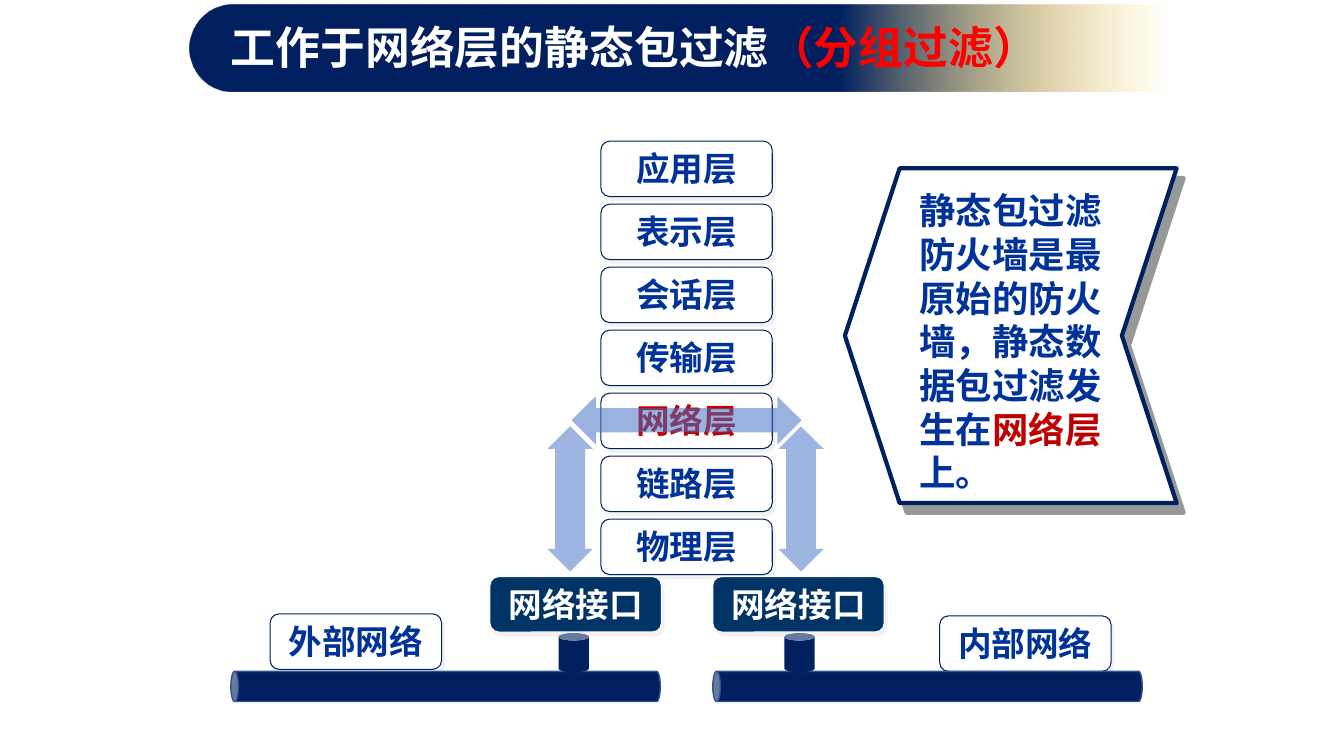
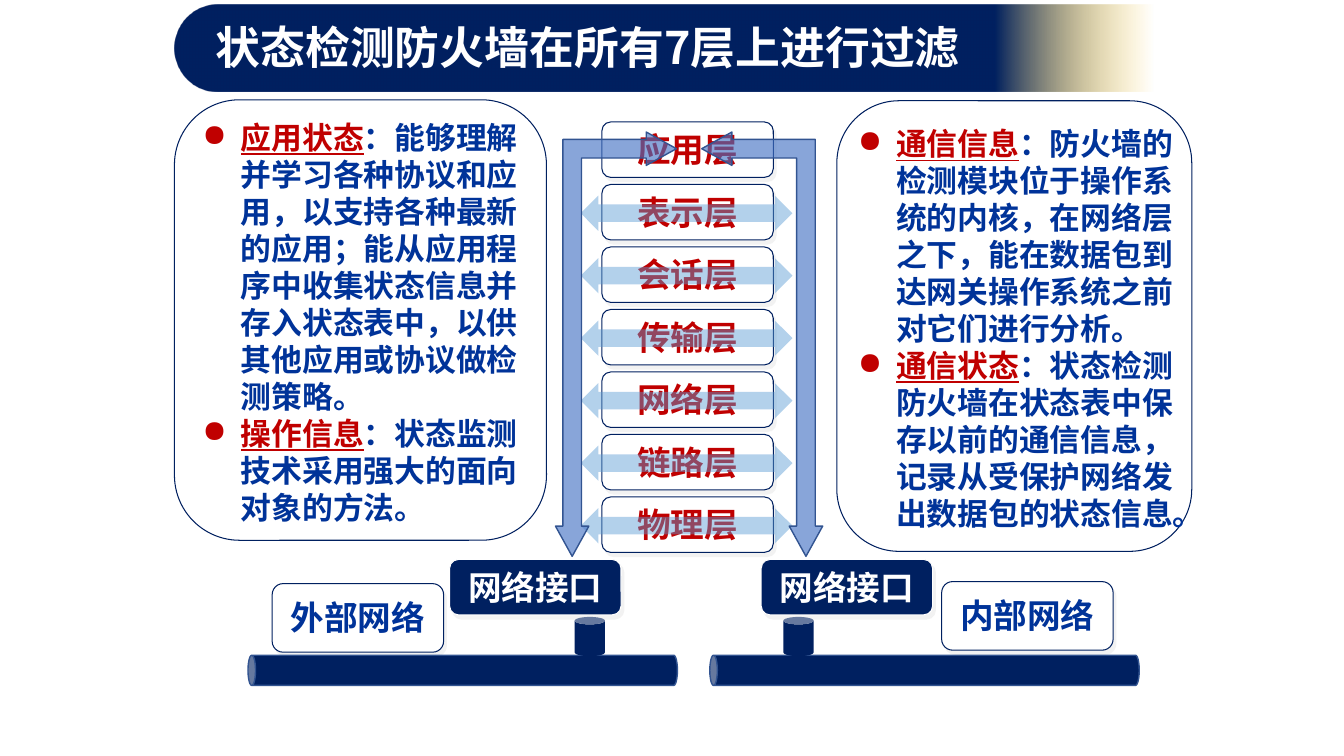
import pptx
import pptx.dml.color
import pptx.enum.shapes
import pptx.enum.text
import pptx.oxml
import pptx.oxml.ns
import pptx.util

Inches = pptx.util.Inches
Pt = pptx.util.Pt
Kind = pptx.enum.shapes.MSO_SHAPE
qn = pptx.oxml.ns.qn

COLORS = {
    "navy": "002060", "teal": "003366", "blue": "003399", "red": "C00000",
    "alert": "FF0000", "gold": "FFC000", "white": "FFFFFF", "edge": "325491",
    "arrow": "4472C4", "sky": "5B9BD5", "haze": "E7E6E6", "shade": "333333",
}
TITLE_FORMAT = {"name": "Noto Sans CJK SC", "size": Pt(32), "bold": True}
BODY_FORMAT = {"name": "Times New Roman", "bold": True}
LABEL_FRAME = {
    "word_wrap": False, "vertical_anchor": pptx.enum.text.MSO_ANCHOR.MIDDLE,
    "margin_left": Inches(0.1), "margin_right": Inches(0.1),
    "margin_top": Inches(0.04), "margin_bottom": Inches(0.05),
}
TEXT_FRAME = {"word_wrap": True, "auto_size": pptx.enum.text.MSO_AUTO_SIZE.SHAPE_TO_FIT_TEXT}
LAYERS = ["应用层", "表示层", "会话层", "传输层", "网络层", "链路层", "物理层"]
LABEL_WIDTH, LABEL_HEIGHT = 1.7, 0.55
PIPE_LENGTH, PIPE_WIDTH, POST_HEIGHT = 4.26, 0.3, 0.39


def rgb(name):
    return pptx.dml.color.RGBColor.from_string(COLORS[name])


def set_format(target, values):
    for name, value in values.items():
        setattr(target, name, value)


def add_xml(parent, tag, **attributes):
    child = parent.makeelement(qn(tag), attributes)
    parent.append(child)
    return child


def set_alpha(color_parent, percent):
    color = next(color_parent.iter(qn("a:srgbClr")))
    add_xml(color, "a:alpha", val=str(percent * 1000))


class Deck:
    """Hold the shared style and the current slide."""

    def __init__(self):
        self.deck = pptx.Presentation()
        self.deck.slide_width, self.deck.slide_height = Inches(13.33), Inches(7.5)

    def new_page(self):
        self.page = self.deck.slides.add_slide(self.deck.slide_layouts[6])

    def shape(self, kind, area, fill, line=None, weight=0.75, adjust=(), alpha=None, flips=""):
        shape = self.page.shapes.add_shape(kind, *map(Inches, area))
        shape.shadow.inherit = False
        shape.fill.solid()
        shape.fill.fore_color.rgb = rgb(fill)
        properties = shape._element.spPr
        if alpha is not None:
            set_alpha(properties, alpha)
        if line:
            shape.line.color.rgb = rgb(line)
            shape.line.width = Pt(weight)
        else:
            shape.line.fill.background()
        for index, value in enumerate(adjust):
            shape.adjustments[index] = value
        for axis in flips:
            properties.find(qn("a:xfrm")).set("flip" + axis, "1")
        return shape

    def shadow(self, shape, color, distance, angle):
        effects = shape._element.spPr.find(qn("a:effectLst"))
        outer = add_xml(effects, "a:outerShdw", dist=str(Pt(distance)),
                        dir=str(angle * 60000), algn="ctr", rotWithShape="0")
        add_xml(outer, "a:srgbClr", val=COLORS[color])
        set_alpha(outer, 50)

    def add_spans(self, para, spans, form):
        for text, color, *underline in spans:
            span = para.add_run()
            span.text = text
            set_format(span.font, form)
            span.font.color.rgb = rgb(color)
            if underline:
                span.font.underline = True

    def text(self, area, paragraphs, form, bullets=False):
        box = self.page.shapes.add_textbox(*map(Inches, area))
        frame = box.text_frame
        set_format(frame, TEXT_FRAME)
        for index, spans in enumerate(paragraphs):
            para = frame.paragraphs[0] if index == 0 else frame.add_paragraph()
            if bullets:
                settings = para._p.get_or_add_pPr()
                settings.set("marL", str(Inches(0.38)))
                settings.set("indent", str(-Inches(0.38)))
                add_xml(settings, "a:buChar", char="●")
            self.add_spans(para, spans, form)

    def title(self, left, width, solid_until, spans):
        band = self.shape(Kind.ROUNDED_RECTANGLE, (left, 0.05, 10.55, 0.86), "navy", adjust=[0.5])
        band.fill.gradient()
        band.fill.gradient_angle = 0
        stops = band.fill.gradient_stops
        for stop, position, color in zip(stops, (solid_until, 0.92), ("navy", "gold")):
            stop.position = position
            stop.color.rgb = rgb(color)
        set_alpha(band._element.spPr.findall(".//" + qn("a:gs"))[-1], 0)
        self.text((left + 0.31, 0.15, width, 0.64), [spans], TITLE_FORMAT)

    def label(self, left, top, text, color="blue", fill="white", line="navy", height=LABEL_HEIGHT):
        box = self.shape(Kind.ROUNDED_RECTANGLE, (left, top, LABEL_WIDTH, height),
                         fill, line, adjust=[0.159])
        self.shadow(box, "haze", 3.6, 56)
        set_format(box.text_frame, LABEL_FRAME)
        para = box.text_frame.paragraphs[0]
        para.alignment = pptx.enum.text.PP_ALIGN.CENTER
        self.add_spans(para, [(text, color)], BODY_FORMAT | {"size": Pt(24)})

    def layers(self, left, top, pitch, highlighted):
        for index, name in enumerate(LAYERS):
            self.label(left, top + index * pitch, name, "red" if name in highlighted else "blue")

    def network(self, labels, label_height, ports, port_top, port_fill, pipes, pipe_top, posts):
        for (left, top), name in zip(labels, ("外部网络", "内部网络")):
            self.label(left, top, name, height=label_height)
        shift = (PIPE_LENGTH - PIPE_WIDTH) / 2
        for port, pipe, post in zip(ports, pipes, posts):
            self.label(port, port_top, "网络接口", "white", port_fill, "white")
            can = self.shape(Kind.CAN, (pipe + shift, pipe_top - shift, PIPE_WIDTH, PIPE_LENGTH),
                             "navy", "edge", 1)
            can.rotation = 270
            self.shape(Kind.CAN, (post, pipe_top - 0.38, PIPE_WIDTH, POST_HEIGHT), "navy")

    def panel(self, frame_area, text_area, paragraphs):
        self.shape(Kind.ROUNDED_RECTANGLE, frame_area, "white", "navy", adjust=[0.175])
        spans = [[(term, "red", True), (detail, "blue")] for term, detail in paragraphs]
        self.text(text_area, spans, BODY_FORMAT | {"size": Pt(22)}, bullets=True)


def static_filter_page(deck):
    deck.new_page()
    deck.title(1.88, 8.36, 0.61, [("工作于网络层的静态包过滤", "white"), ("（分组过滤）", "alert")])
    deck.layers(5.96, 1.4, 0.625, ["网络层"])
    callout = deck.shape(Kind.CHEVRON, (8.38, 1.67, 3.29, 3.32), "white", "navy", 3, [0.165], flips="H")
    deck.shadow(callout, "shade", 8.6, 54)
    deck.text((9.02, 1.82, 2.12, 3.16), [[
        ("静态包过滤防火墙是最原始的防火墙，静态数据包过滤发生在", "blue"),
        ("网络层", "red"), ("上。", "blue"),
    ]], BODY_FORMAT | {"size": Pt(26)})
    deck.network([(2.68, 6.09), (9.32, 6.11)], LABEL_HEIGHT, (4.86, 7.07), 5.72, "teal",
                 (2.29, 7.07), 6.66, (5.54, 7.78))
    for left in (5.43, 7.72):
        deck.shape(Kind.UP_DOWN_ARROW, (left, 4.23, 0.45, 1.44), "arrow", adjust=[0.5, 0.658], alpha=52)
    deck.shape(Kind.LEFT_RIGHT_ARROW, (5.67, 3.93, 2.28, 0.48), "arrow", alpha=54)


def stateful_filter_page(deck):
    deck.new_page()
    deck.title(1.73, 8.12, 0.77, [("状态检测防火墙在所有7层上进行过滤", "white")])
    deck.panel((8.3, 1, 3.52, 4.47), (8.41, 1.19, 3.34, 4.17), [
        ("通信信息", "：防火墙的检测模块位于操作系统的内核，在网络层之下，"
                 "能在数据包到达网关操作系统之前对它们进行分析。"),
        ("通信状态", "：状态检测防火墙在状态表中保存以前的通信信息，"
                 "记录从受保护网络发出数据包的状态信息。"),
    ])
    deck.panel((1.73, 0.99, 3.69, 4.37), (1.91, 1.13, 3.35, 4.17), [
        ("应用状态", "：能够理解并学习各种协议和应用，以支持各种最新的应用；"
                 "能从应用程序中收集状态信息并存入状态表中，以供其他应用或协议做检测策略。"),
        ("操作信息", "：状态监测技术采用强大的面向对象的方法。"),
    ])
    top, pitch = 1.21, 0.62
    deck.layers(5.97, top, pitch, LAYERS)
    for index in range(1, len(LAYERS)):
        deck.shape(Kind.LEFT_RIGHT_ARROW, (5.76, top + 0.11 + index * pitch, 2.1, 0.35), "sky", alpha=46)
    deck.network([(2.7, 5.79), (9.34, 5.77)], 0.68, (4.46, 7.55), 5.55, "navy",
                 (2.46, 7.04), 6.5, (5.7, 7.77))
    for left, flips in ((6.96, "V"), (5.51, "HV")):
        deck.shape(Kind.LEFT_UP_ARROW, (left, 1.31, 1.2, 4.21), "arrow", "edge", 1,
                   [0.154, 0.138, 0.25], 63, flips)


def main():
    deck = Deck()
    static_filter_page(deck)
    stateful_filter_page(deck)
    deck.deck.save("out.pptx")


if __name__ == "__main__":
    main()
